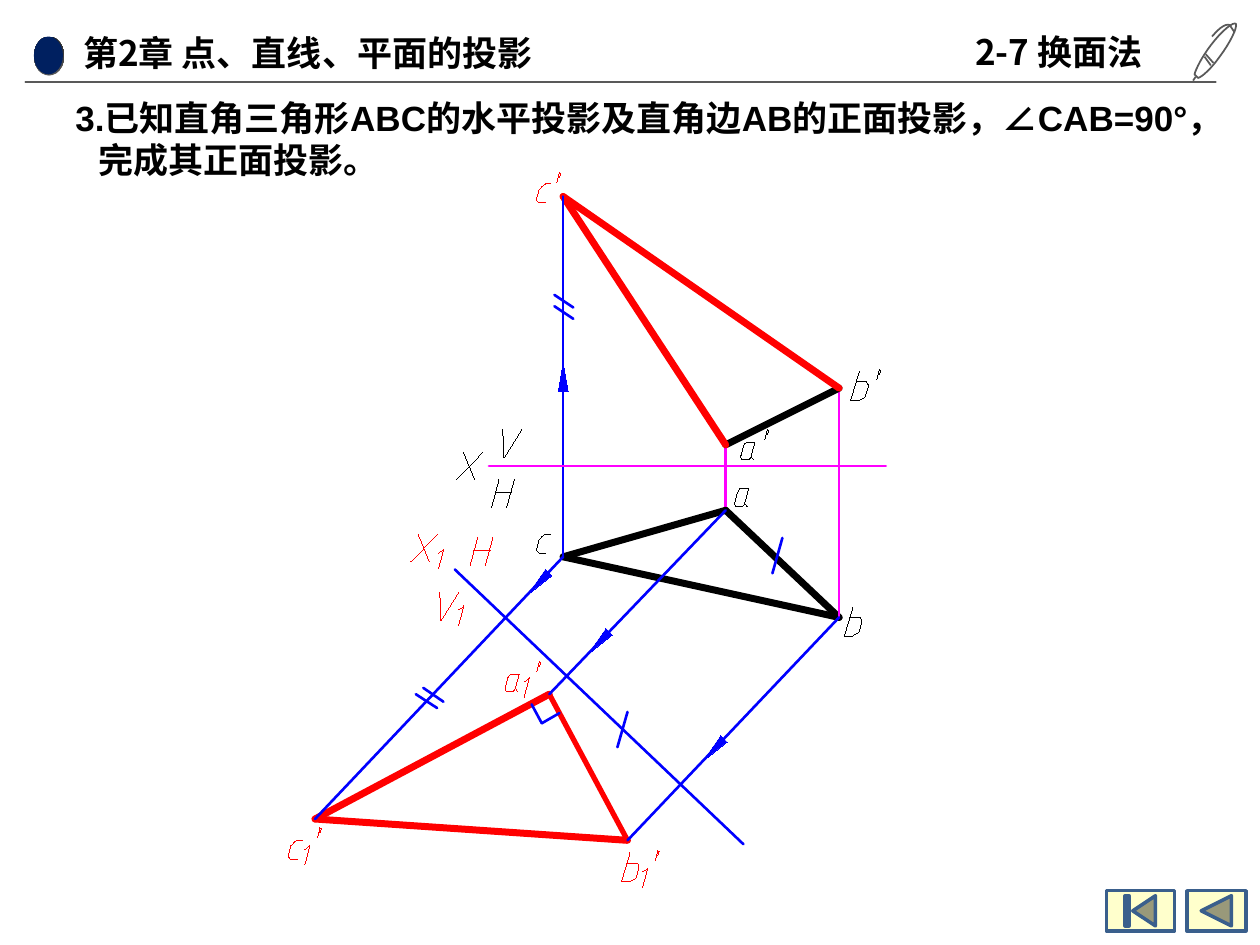
from lxml.etree import SubElement
from pptx import Presentation
from pptx.dml.color import RGBColor
from pptx.enum.shapes import MSO_CONNECTOR, MSO_SHAPE
from pptx.oxml.ns import qn
from pptx.util import Pt

COLORS = {
    "black": "000000", "red": "FF0000", "blue": "0000FF", "magenta": "FF00FF",
    "gray": "595959", "dark": "262626", "navy": "002060",
    "cream": "FFFFCC", "steel": "3A5F8C",
}
CJK = "Noto Sans CJK SC"
HAIR = 0.01

POINTS = {
    "a": (414.7, 291.6), "b": (479.5, 352.8), "c": (321.8, 318.2),
    "a'": (414.7, 254.2), "b'": (479.5, 221.8), "c'": (321.8, 112.3),
    "a1'": (313.9, 396.7), "b1'": (358.6, 480.2), "c1'": (180, 468),
}
EDGES = [
    ("a", "a'", "magenta", 1.5), ("c", "b", "black", 4), ("a", "c", "black", 4),
    ("b", "a", "black", 4), ("b'", "b", "magenta", 1.5), ("a'", "b'", "black", 4),
    ("c'", "b'", "red", 4), ("c'", "a'", "red", 4), ("c", "c'", "blue", 1.5),
    ("c1'", "a1'", "red", 4), ("c1'", "b1'", "red", 4), ("a1'", "b1'", "red", 3),
    ("c", "c1'", "blue", 1.5), ("a", "a1'", "blue", 1.5), ("b", "b1'", "blue", 1.5),
]
AXES = [
    ((279.4, 266.4), (506.2, 266.4), "magenta"),
    ((424.8, 482.4), (259.9, 325.4), "blue"),
]
MARKS = [
    ((327.6, 175.7), (316.8, 168.5)), ((327.6, 182.2), (316.8, 175)),
    ((253.4, 401), (241.9, 393.1)), ((249.8, 404.6), (237.6, 396.7)),
    ((447.1, 307.4), (441.4, 327.6)), ((358.6, 406.8), (352.8, 427)),
    ((303.8, 402.5), (309.6, 413.3)), ((309.6, 413.3), (319.7, 407.5)),
]
UP_HEAD = [(-2.8, 16.5), (2.9, 16.5), (0, 0)]
DOWN_HEAD = [(10.1, -14.4), (13.7, -10.8), (0, 0)]
HEADS = [
    (321.8, 207.4, UP_HEAD), (401.8, 434.9, DOWN_HEAD),
    (301.7, 339.8, DOWN_HEAD), (336.2, 373.7, DOWN_HEAD),
]
GLYPHS = {
    "a": [[(7.2, 10.1), (5.8, 7.9), (7.9, 0), (2.9, 0), (2.2, 0.7), (1.4, 2.2),
           (0, 7.9), (0, 8.6), (0.7, 10.1), (4.3, 10.1), (5, 9.4), (5.8, 7.9)]],
    "b": [[(5, 0), (0, 16.6), (4.3, 16.6), (5.8, 15.8), (7.2, 15.1), (8.6, 13.7),
           (10.1, 8.6), (10.1, 7.2), (9.4, 5.8), (3.6, 5.8)]],
    "c": [[(7.9, 0), (5, 0), (3.6, 0.7), (2.9, 1.4), (1.4, 2.9), (0, 7.9),
           (0, 9.4), (0.7, 10.1), (1.4, 10.8), (5, 10.8)]],
    "1": [[(0, 11), (2.9, 0), (0, 2.2)]],
    "'": [[(1.4, 0), (2.2, 0.7)], [(0, 5.8), (1.4, 0)], [(2.2, 0.7), (1.4, 2.9)]],
    "V": [[(0, 0), (0.7, 16.2), (10.8, 0)]],
    "X": [[(4.3, 0), (10.8, 15.8)], [(15.1, 0), (0, 15.8)]],
    "H": [[(0, 15.8), (4.3, 0)], [(2.2, 7.2), (11.5, 7.2)], [(13, 0), (8.6, 15.8)]],
}
LABELS = {
    "black": [
        ("H", 280.8, 274.3), ("V", 287.3, 245.5), ("X", 260.6, 258.5),
        ("a", 419.8, 279.4), ("b", 482.4, 347), ("c", 306.7, 305.3),
        ("b", 486, 212.4), ("'", 501.1, 211), ("a", 423.4, 252.7), ("'", 437, 245.5),
    ],
    "red": [
        ("c", 306.7, 105.1), ("'", 318.2, 98.6),
        ("b", 355, 487.4), ("1", 367.2, 496.1), ("'", 374.4, 486),
        ("c", 164.9, 480.2), ("1", 174.2, 483.1), ("'", 181.4, 473),
        ("a", 288.7, 385.2), ("1", 299.5, 387.4), ("'", 306.7, 378),
        ("H", 268.6, 307.4), ("X", 234.7, 305.3), ("1", 250.6, 313.9),
        ("V", 251.3, 338.4), ("1", 262.1, 346.3),
    ],
}
PEN_BODY = [
    [(706.3, 13.7), (704.9, 12.2), (698.4, 17.3), (691.9, 25.9)],
    [(691.9, 25.9), (686.9, 32.4), (683.3, 39.6), (682.6, 42.5)],
    [(684.7, 44.6), (686.9, 43.9), (691.9, 39.6), (697, 32.4)],
    [(697, 32.4), (703.4, 23.8), (707, 15.8), (706.3, 13.7)],
]
PEN_CLIP = [
    [(705.6, 18.7), (705.6, 18.7), (704.2, 16.6), (702.7, 14.4)],
    [(702.7, 14.4), (702.7, 14.4), (699.8, 12.2), (692.6, 20.9)],
]
PEN_STROKES = [
    [(691.9, 37.4), (688.3, 32.4)], [(689, 31), (693.4, 36)],
    [(683.3, 43.9), (681.8, 46.1)],
]


def rgb(name):
    return RGBColor.from_string(COLORS[name])


def style_line(s, color, width):
    s.line.color.rgb = rgb(color)
    s.line.width = Pt(width)


def add_line(shapes, start, end, color, width):
    s = shapes.add_connector(MSO_CONNECTOR.STRAIGHT, *map(Pt, start + end))
    style_line(s, color, width)
    sp_pr = s.element.spPr
    sp_pr.find(qn("a:ln")).set("cap", "rnd")
    SubElement(sp_pr, qn("a:effectLst"))


def add_outline(shapes, strokes, color, width, fill=None, close=False):
    fb = None
    for pts in strokes:
        pts = [(Pt(x), Pt(y)) for x, y in pts]
        if fb is None:
            fb = shapes.build_freeform(*pts[0])
        else:
            fb.move_to(*pts[0])
        fb.add_line_segments(pts[1:], close=close)
    s = fb.convert_to_shape()
    s.shadow.inherit = False
    if fill:
        s.fill.solid()
        s.fill.fore_color.rgb = rgb(fill)
    else:
        s.fill.background()
    style_line(s, color, width)


def add_preset(shapes, kind, box, fill, line=None):
    s = shapes.add_shape(kind, *map(Pt, box))
    s.shadow.inherit = False
    s.fill.solid()
    s.fill.fore_color.rgb = rgb(fill)
    if line:
        style_line(s, line, 2)
    else:
        s.line.fill.background()
    return s


def add_text(shapes, text, box, font=CJK, size=20, bold=True, color="black",
             inset=(7.2, 3.6), indents=(0,)):
    tf = shapes.add_textbox(*map(Pt, box)).text_frame
    tf.word_wrap = True
    tf.margin_left = tf.margin_right = Pt(inset[0])
    tf.margin_top = tf.margin_bottom = Pt(inset[1])
    for i, (line, indent) in enumerate(zip(text.split("\n"), indents)):
        p = tf.paragraphs[0] if i == 0 else tf.add_paragraph()
        p._p.get_or_add_pPr().set("marL", str(Pt(indent)))
        r = p.add_run()
        r.text = line
        r.font.name, r.font.size, r.font.bold = font, Pt(size), bold
        r.font.color.rgb = rgb(color)
        SubElement(r._r.get_or_add_rPr(), qn("a:ea")).set("typeface", CJK)


def add_glyph(shapes, name, x, y, color):
    for stroke in GLYPHS[name]:
        pts = [(x + dx, y + dy) for dx, dy in stroke]
        if len(pts) == 2:
            add_line(shapes, *pts, color, HAIR)
        else:
            add_outline(shapes, [pts], color, HAIR)


def curve(ctrl, steps=8):
    weights = (1, 3, 3, 1)
    return [
        tuple(sum(w * (1 - t) ** (3 - i) * t ** i * pt[k]
                  for i, (w, pt) in enumerate(zip(weights, ctrl))) for k in (0, 1))
        for t in (n / steps for n in range(steps + 1))
    ]


def add_pen(shapes):
    body, clip = ([pt for c in part for pt in curve(c)] for part in (PEN_BODY, PEN_CLIP))
    add_outline(shapes, [body, clip] + PEN_STROKES, "gray", 1)


def add_header(shapes):
    s = add_preset(shapes, MSO_SHAPE.OVAL, (19.4, 20.9, 17.3, 22.3), "gray")
    s.fill.gradient()
    for stop, name in zip(s.fill.gradient_stops, ("gray", "dark")):
        stop.color.rgb = rgb(name)
    add_preset(shapes, MSO_SHAPE.OVAL, (19.4, 20.9, 16.6, 21.6), "navy")
    add_text(shapes, "第2章 点、直线、平面的投影", (42.5, 15.1, 293, 29.5), inset=(5, 2.9))
    add_text(shapes, "2-7 换面法", (550.1, 13.7, 121.7, 31.7))
    add_line(shapes, (14.4, 46.8), (694.8, 46.8), "gray", 0.75)
    add_pen(shapes)


def add_drawing(shapes):
    for start, end, color, width in EDGES:
        add_line(shapes, POINTS[start], POINTS[end], color, width)
    for start, end, color in AXES:
        add_line(shapes, start, end, color, 1.5)
    for start, end in MARKS:
        add_line(shapes, start, end, "blue", 1.5)
    for x, y, head in HEADS:
        pts = [(x + dx, y + dy) for dx, dy in head]
        add_outline(shapes, [pts], "blue", HAIR, fill="blue", close=True)
    for color, labels in LABELS.items():
        for name, x, y in labels:
            add_glyph(shapes, name, x, y, color)


def main():
    prs = Presentation()
    prs.slide_width, prs.slide_height = Pt(720), Pt(540)
    shapes = prs.slides.add_slide(prs.slide_layouts[6]).shapes
    add_header(shapes)
    add_text(shapes, "3.已知直角三角形ABC的水平投影及直角边AB的正面投影，∠CAB=90°，\n完成其正面投影。",
             (36, 51.8, 675.4, 55.4), font="Arial", indents=(0, 13))
    add_drawing(shapes)
    for kind, x, w in ((MSO_SHAPE.ACTION_BUTTON_BEGINNING, 632.2, 38.9),
                       (MSO_SHAPE.ACTION_BUTTON_BACK_OR_PREVIOUS, 678.2, 33.8)):
        add_preset(shapes, kind, (x, 509, w, 23), "cream", line="steel")
    prs.save("out.pptx")


if __name__ == "__main__":
    main()
